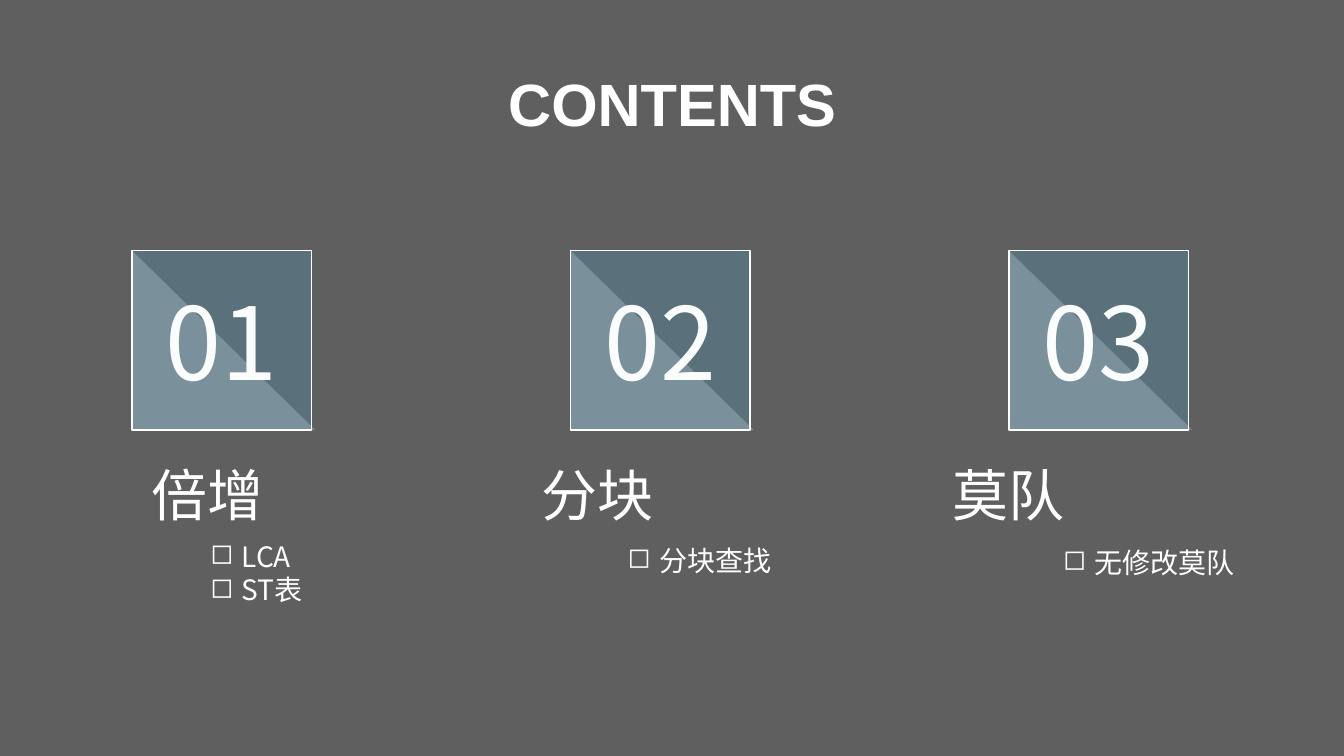
from lxml.etree import SubElement
from pptx import Presentation
from pptx.dml.color import RGBColor
from pptx.enum.shapes import MSO_SHAPE
from pptx.enum.text import MSO_ANCHOR, MSO_AUTO_SIZE, PP_ALIGN
from pptx.oxml.ns import qn
from pptx.util import Cm, Pt

# Content
TITLE = "CONTENTS"
SECTIONS = [  # number, heading, heading left, topics, topics (left, top, width) in cm
    ("01", "倍增", 3.58, ["LCA", "ST表"], (5.05, 13.46, 3.38)),
    ("02", "分块", 13.39, ["分块查找"], (15.57, 13.56, 4.27)),
    ("03", "莫队", 23.75, ["无修改莫队"], (26.54, 13.61, 6.91)),
]
GREY, WHITE, NUMBER_WHITE, BLUE = "5F5F5F", "FFFFFF", "FBFDFC", "47B6E7"
JP, SC = "Noto Sans CJK JP", "Noto Sans CJK SC"

# Tile row, in cm
TILE_LEFT, TILE_TOP, TILE_SIZE, TILE_PITCH = 3.33, 6.32, 4.52, 11.05
TRIANGLE_WIDTH = 4.62
HEADING_TOP, HEADING_WIDTH, HEADING_HEIGHT = 11.48, 4.5, 2.03
TOPIC_LINE, TOPIC_INDENT = 0.86, 0.79


def color(hex_string):
    return RGBColor.from_string(hex_string)


def add_run(paragraph, text, size, font, hex_string, bold=False):
    run = paragraph.add_run()
    run.text = text
    run.font.size = Pt(size)
    run.font.bold = bold
    run.font.name = font
    run.font.color.rgb = color(hex_string)
    SubElement(run.font._element, qn("a:ea"), typeface=font)


def add_tile_part(preset, width, hex_string, opacity):
    part = slide.shapes.add_shape(preset, Cm(left), Cm(TILE_TOP), Cm(width), Cm(TILE_SIZE))
    part.shadow.inherit = False
    part.fill.solid()
    part.fill.fore_color.rgb = color(hex_string)
    srgb = part.fill._xPr.find(qn("a:solidFill"))[0]
    SubElement(srgb, qn("a:alpha"), val=str(opacity * 1000))
    part.line.fill.background()
    return part


def add_text_frame(left, top, width, height):
    box = slide.shapes.add_textbox(Cm(left), Cm(top), Cm(width), Cm(height))
    box.text_frame.word_wrap = True
    return box.text_frame


def add_bullet(paragraph):
    properties = paragraph._p.get_or_add_pPr()
    properties.set("marL", str(Cm(TOPIC_INDENT)))
    properties.set("indent", str(-Cm(TOPIC_INDENT)))
    bullet_color = SubElement(properties, qn("a:buClr"))
    SubElement(bullet_color, qn("a:srgbClr"), val=WHITE)
    SubElement(properties, qn("a:buChar"), char="◻")


presentation = Presentation()
presentation.slide_width, presentation.slide_height = Cm(33.87), Cm(19.05)
slide = presentation.slides.add_slide(presentation.slide_layouts[5])
slide.background.fill.solid()
slide.background.fill.fore_color.rgb = color(GREY)

# Title
title = slide.shapes.title
title.left, title.top, title.width, title.height = Cm(12.14), Cm(1.52), Cm(9.6), Cm(2.13)
title.text_frame.auto_size = MSO_AUTO_SIZE.NONE
title.text_frame.vertical_anchor = MSO_ANCHOR.MIDDLE
title_line = title.text_frame.paragraphs[0]
title_line.alignment = PP_ALIGN.CENTER
add_run(title_line, TITLE, 42.6, "Arial", WHITE, bold=True)

for index, (number, heading, heading_left, topics, topics_place) in enumerate(SECTIONS):
    left = TILE_LEFT + index * TILE_PITCH

    # Numbered tile
    add_tile_part(MSO_SHAPE.RIGHT_TRIANGLE, TRIANGLE_WIDTH, WHITE, 25)
    tile = add_tile_part(MSO_SHAPE.RECTANGLE, TILE_SIZE, BLUE, 20)
    tile.line.color.rgb = color(WHITE)
    tile.line.width = Pt(1)
    tile.text_frame.vertical_anchor = MSO_ANCHOR.MIDDLE
    number_line = tile.text_frame.paragraphs[0]
    number_line.alignment = PP_ALIGN.CENTER
    add_run(number_line, number, 72, JP, NUMBER_WHITE)

    # Heading
    heading_frame = add_text_frame(heading_left, HEADING_TOP, HEADING_WIDTH, HEADING_HEIGHT)
    add_run(heading_frame.paragraphs[0], heading, 40, JP, WHITE)

    # Topics
    topics_frame = add_text_frame(*topics_place, 0.25 + TOPIC_LINE * len(topics))
    for row, topic in enumerate(topics):
        topic_line = topics_frame.add_paragraph() if row else topics_frame.paragraphs[0]
        add_bullet(topic_line)
        add_run(topic_line, topic, 20, SC, WHITE)

presentation.save("out.pptx")
